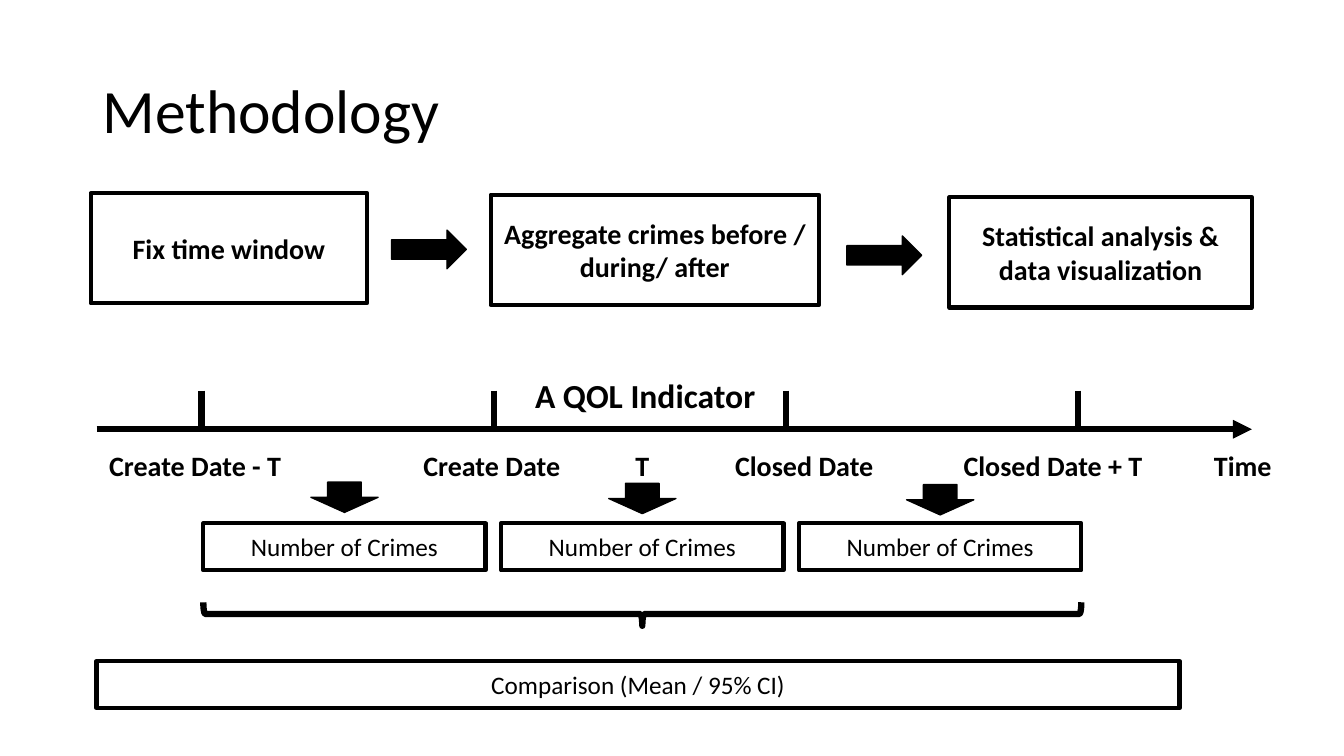
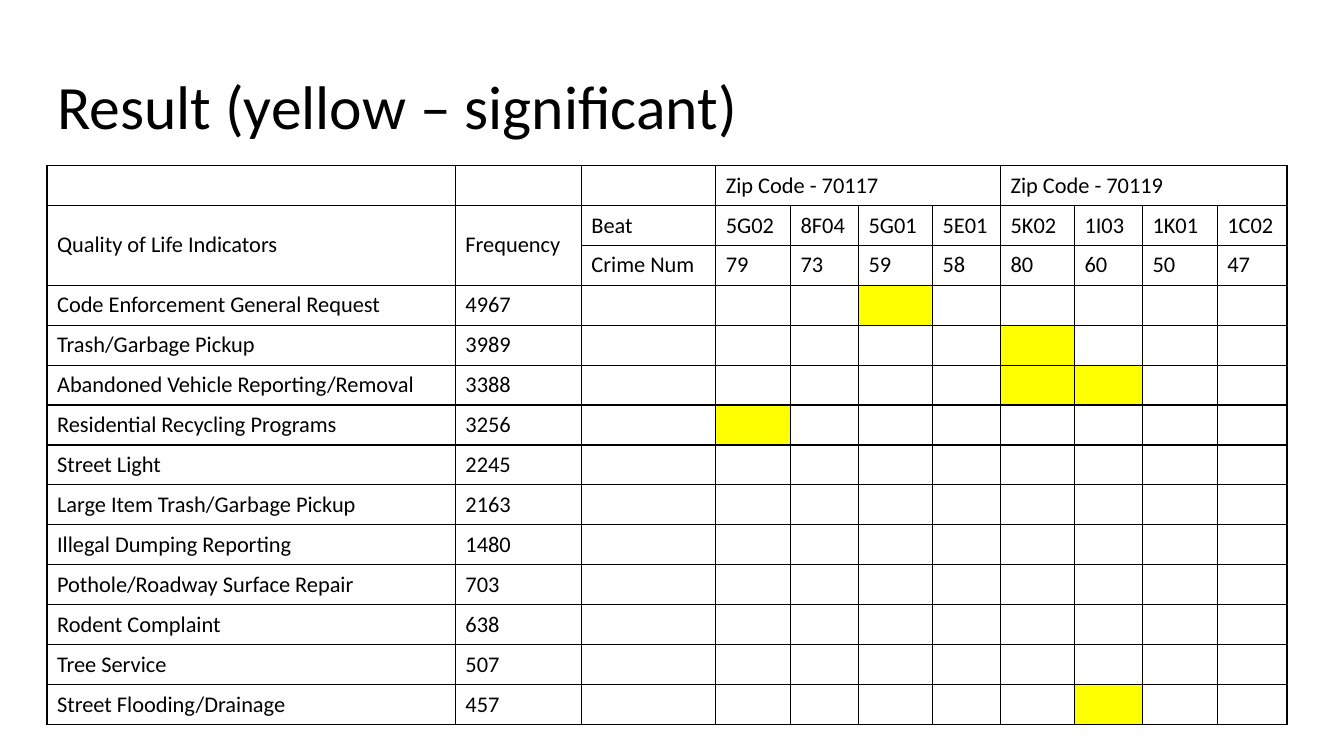
from collections import namedtuple

from lxml.etree import SubElement
from pptx import Presentation
from pptx.dml.color import RGBColor
from pptx.enum.shapes import MSO_CONNECTOR as Connector
from pptx.enum.shapes import MSO_SHAPE as Shape
from pptx.enum.text import MSO_ANCHOR as Anchor
from pptx.enum.text import PP_ALIGN as Align
from pptx.oxml.ns import qn
from pptx.util import Emu, Inches, Pt

COLORS = {"ink": "000000", "paper": "FFFFFF", "significant": "FFFF00"}
FONT = "Calibri"
SLIDE_WIDTH, SLIDE_HEIGHT = Inches(13.33), Inches(7.5)
GRID_ROWS = 90  # square cells, so the slide is 160 columns wide
CELL = SLIDE_HEIGHT / GRID_ROWS

Box = namedtuple("Box", "left top width height")

STEPS = [  # left, top, width, lines of text
    (0, 0, 32.9, ["Fix time window"]),
    (47.6, 0.2, 39.1, ["Aggregate crimes before / during/ after"]),
    (102.2, 0.5, 36, ["Statistical analysis &", "data visualization"]),
]
DATE_LABELS = [  # left, width, text, alignment
    (0.3, 24.8, "Create Date - T", Align.LEFT),
    (37.7, 20.5, "Create Date", Align.LEFT),
    (54.7, 20.5, "T", Align.CENTER),
    (74.8, 20.5, "Closed Date", Align.LEFT),
    (102, 24.7, "Closed Date + T", Align.LEFT),
    (131.8, 13.2, "Time", Align.LEFT),
]
COLUMN_WIDTHS = [48.6, 15, 16, 8.9, 8.1, 8.8, 8.1, 8.8, 8.1, 8.9, 8.3]
ZIP_CODES = {3: "Zip Code - 70117", 7: "Zip Code - 70119"}
BEATS = ["Beat", "5G02", "8F04", "5G01", "5E01", "5K02", "1I03", "1K01", "1C02"]
CRIMES = ["Crime Num", "79", "73", "59", "58", "80", "60", "50", "47"]
INDICATORS = [  # name, frequency, significant beats
    ("Code Enforcement General Request", "4967", ["5G01"]),
    ("Trash/Garbage Pickup", "3989", ["5K02"]),
    ("Abandoned Vehicle Reporting/Removal", "3388", ["5K02", "1I03"]),
    ("Residential Recycling Programs", "3256", ["5G02"]),
    ("Street Light", "2245", []),
    ("Large Item Trash/Garbage Pickup", "2163", []),
    ("Illegal Dumping Reporting", "1480", []),
    ("Pothole/Roadway Surface Repair", "703", []),
    ("Rodent Complaint", "638", []),
    ("Tree Service", "507", []),
    ("Street Flooding/Drainage", "457", ["1I03"]),
]


def color(name):
    return RGBColor.from_string(COLORS[name])


def emu(*cells):
    return [Emu(round(count * CELL)) for count in cells]


def format_paragraph(paragraph, size, bold=False, align=Align.LEFT):
    paragraph.alignment = align
    font = paragraph.font
    font.name, font.size, font.bold = FONT, Pt(size), bold
    font.color.rgb = color("ink")


def write(frame, lines, size, bold=False, align=Align.LEFT):
    frame.word_wrap = True
    frame.text = "\n".join(lines)
    for paragraph in frame.paragraphs:
        format_paragraph(paragraph, size, bold, align)


def add_preset(slide, preset, box, fill, line_width):
    shape = slide.shapes.add_shape(preset, *emu(*box))
    shape.shadow.inherit = False
    if fill:
        shape.fill.solid()
        shape.fill.fore_color.rgb = color(fill)
    else:
        shape.fill.background()
    shape.line.color.rgb = color("ink")
    shape.line.width = Pt(line_width)
    return shape


def add_framed_text(slide, box, lines, size, bold=False):
    shape = add_preset(slide, Shape.RECTANGLE, box, "paper", 3)
    shape.text_frame.vertical_anchor = Anchor.MIDDLE
    write(shape.text_frame, lines, size, bold, Align.CENTER)


def add_label(slide, box, text, size, align=Align.LEFT):
    label = slide.shapes.add_textbox(*emu(*box))
    write(label.text_frame, [text], size, True, align)


def add_line(slide, start, end, arrow=False):
    line = slide.shapes.add_connector(Connector.STRAIGHT, *emu(*start, *end))
    line.line.color.rgb = color("ink")
    line.line.width = Pt(4.5)
    if arrow:
        SubElement(line.line._get_or_add_ln(), qn("a:tailEnd"), type="triangle")
    SubElement(line._element.spPr, qn("a:effectLst"))


def add_titled_slide(presentation, text, box):
    slide = presentation.slides.add_slide(presentation.slide_layouts[5])
    title = slide.shapes.title
    title.left, title.top, title.width, title.height = emu(*box)
    title.text_frame.vertical_anchor = Anchor.MIDDLE
    write(title.text_frame, [text], 44)
    title.text_frame.paragraphs[0].line_spacing = 0.9
    return slide


def add_process(slide, box):
    """Three steps with an arrow centred in each gap."""
    for left, top, width, lines in STEPS:
        step = Box(box.left + left, box.top + top, width, box.height)
        add_framed_text(slide, step, lines, 20, True)
    arrow_width, arrow_height = 8.9, 4.6
    for before, after, top in zip(STEPS, STEPS[1:], (4.4, 5.1)):
        middle = (before[0] + before[2] + after[0]) / 2
        arrow = Box(box.left + middle - arrow_width / 2, box.top + top,
                    arrow_width, arrow_height)
        add_preset(slide, Shape.RIGHT_ARROW, arrow, "ink", 1)


def add_timeline(slide, box):
    """Time axis with evenly spaced ticks, and dates below it."""
    axis = box.top + 7.1
    add_line(slide, (box.left, axis), (box.left + box.width, axis), arrow=True)
    for index in range(4):
        tick = box.left + 12.5 + 34.77 * index
        add_line(slide, (tick, axis - 4.6), (tick, axis))
    add_label(slide, Box(box.left + 51, box.top, 29.5, 5.5), "A QOL Indicator", 24)
    for left, width, text, align in DATE_LABELS:
        label = Box(box.left + left, axis + 1.65, width, 4.7)
        add_label(slide, label, text, 20, align)


def add_crime_counts(slide, box):
    """Three counts under arrows, gathered by a brace."""
    count_width, count_height = 33.6, 5.6
    arrow_width, arrow_height = 8, 3.6
    pitch = (box.width - count_width) / 2
    for index in range(3):
        left = box.left + pitch * index
        count = Box(left, box.top + 4.9, count_width, count_height)
        add_framed_text(slide, count, ["Number of Crimes"], 18)
        arrow = Box(left + (count_width - arrow_width) / 2,
                    box.top + 0.15 * index, arrow_width, arrow_height)
        add_preset(slide, Shape.DOWN_ARROW, arrow, "ink", 1)
    depth = 2.8
    upright = Box(box.left + (box.width - depth) / 2,
                  box.top + box.height - (depth + box.width) / 2,
                  depth, box.width)
    add_preset(slide, Shape.LEFT_BRACE, upright, None, 4.5).rotation = 270


def format_cell(cell, fill):
    properties = cell._tc.get_or_add_tcPr()
    for side in ("lnL", "lnR", "lnT", "lnB"):
        border = SubElement(properties, qn(f"a:{side}"), w=str(Pt(1)))
        solid = SubElement(border, qn("a:solidFill"))
        SubElement(solid, qn("a:srgbClr"), val=COLORS["ink"])
    cell.fill.solid()
    cell.fill.fore_color.rgb = color(fill)
    cell.vertical_anchor = Anchor.MIDDLE
    cell.margin_top = cell.margin_bottom = Inches(0.03)
    format_paragraph(cell.text_frame.paragraphs[0], 16)


def result_rows():
    blank = [""] * len(BEATS)
    zips = [ZIP_CODES.get(column, "") for column in range(len(COLUMN_WIDTHS))]
    heading = ["Quality of Life Indicators", "Frequency", *BEATS]
    counts = ["", "", *CRIMES]
    return [zips, heading, counts] + [
        [name, frequency, *blank] for name, frequency, _ in INDICATORS]


def add_results(slide, box):
    rows = result_rows()
    frame = slide.shapes.add_table(len(rows), len(COLUMN_WIDTHS), *emu(*box))
    table = frame.table
    table.first_row = table.horz_banding = False
    for column, width in zip(table.columns, emu(*COLUMN_WIDTHS)):
        column.width = width
    for row in table.rows:
        row.height = emu(box.height / len(rows))[0]
    significant = {(3 + row, 2 + BEATS.index(beat))
                   for row, (_, _, beats) in enumerate(INDICATORS)
                   for beat in beats}
    for row, texts in enumerate(rows):
        for column, text in enumerate(texts):
            cell = table.cell(row, column)
            cell.text = text
            marked = (row, column) in significant
            format_cell(cell, "significant" if marked else "paper")
    for column in ZIP_CODES:
        table.cell(0, column).merge(table.cell(0, column + 3))
    for column in (0, 1):
        table.cell(1, column).merge(table.cell(2, column))


def build_methodology(presentation):
    slide = add_titled_slide(presentation, "Methodology", Box(11, 4.8, 138, 17.4))
    add_process(slide, Box(10.8, 23, 138.2, 13.1))
    add_timeline(slide, Box(11.5, 44, 137.5, 13.5))
    add_crime_counts(slide, Box(24.2, 57.4, 104.5, 17.1))
    add_framed_text(slide, Box(11.5, 78.7, 128.9, 5.6),
                    ["Comparison (Mean / 95% CI)"], 18)


def build_result(presentation):
    slide = add_titled_slide(presentation, "Result (yellow – significant)",
                             Box(5.6, 4.4, 138, 17.4))
    add_results(slide, Box(5.6, 19.7, sum(COLUMN_WIDTHS), 66.6))


def main():
    presentation = Presentation()
    presentation.slide_width = SLIDE_WIDTH
    presentation.slide_height = SLIDE_HEIGHT
    build_methodology(presentation)
    build_result(presentation)
    presentation.save("out.pptx")


if __name__ == "__main__":
    main()
